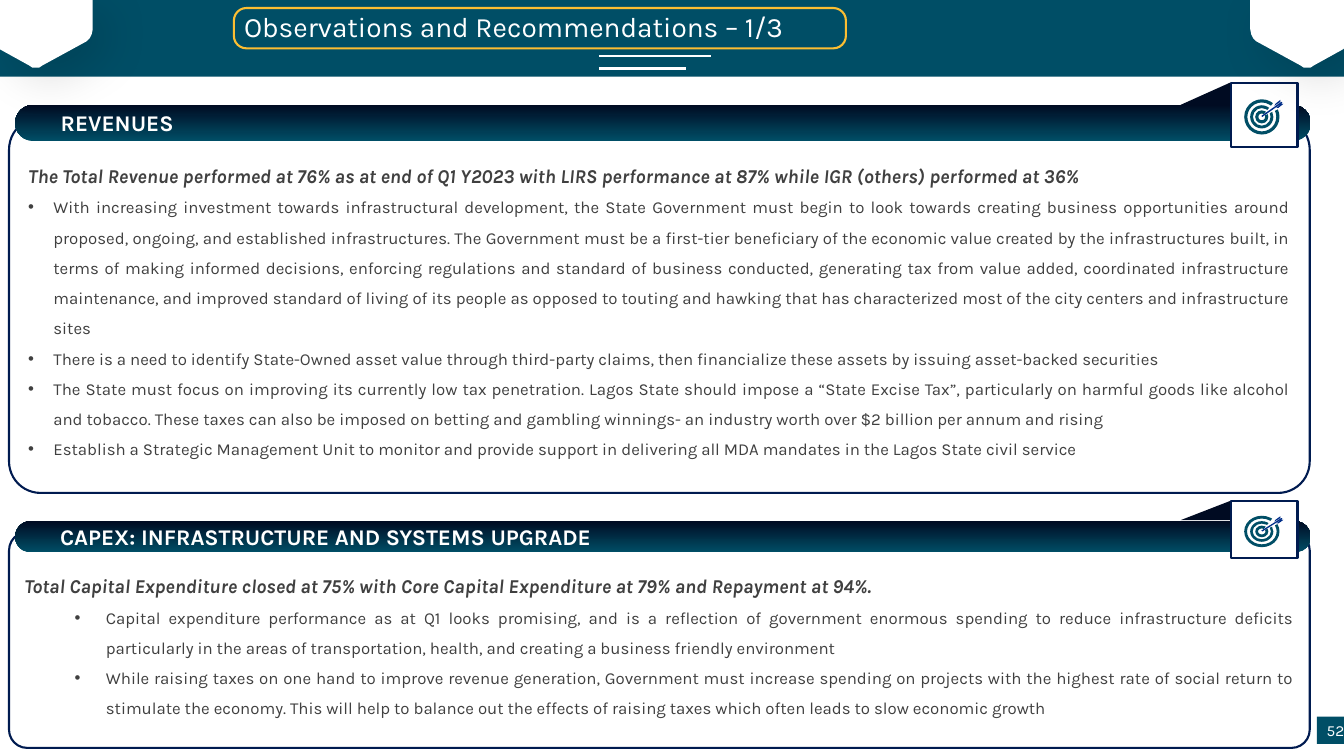
from dataclasses import dataclass
from lxml.etree import SubElement as Sub
from pptx import Presentation
from pptx.dml.color import RGBColor as Rgb
from pptx.enum.shapes import MSO_CONNECTOR as Conn, MSO_SHAPE as Kind
from pptx.enum.text import MSO_ANCHOR as Anchor, MSO_AUTO_SIZE as Fit, PP_ALIGN as Align
from pptx.oxml.ns import qn
from pptx.util import Pt

PX = 9144  # 100 px to the inch


@dataclass
class Theme:
    font: str = "Karla"
    teal: str = "004E66"
    night: str = "000B22"
    navy: str = "001B50"
    dart: str = "002E89"
    gold: str = "FCBE32"
    white: str = "FFFFFF"
    gray: str = "404040"
    title: int = 20
    head: int = 16
    lead: int = 14
    body: int = 12
    page: int = 11


T = Theme()
prs = Presentation()
prs.slide_width, prs.slide_height = 1333 * PX, 750 * PX
slide = prs.slides.add_slide(prs.slide_layouts[5])
shapes = slide.shapes


def paint(shape, fill=None, line=None):
    shape.shadow.inherit = False
    if fill:
        shape.fill.solid()
        shape.fill.fore_color.rgb = Rgb.from_string(fill)
    else:
        shape.fill.background()
    if line:
        shape.line.color.rgb = Rgb.from_string(line)
        shape.line.width = Pt(1.5)
    else:
        shape.line.fill.background()
    return shape


def write(par, text, size, color, bold=False, italic=False, align=Align.LEFT):
    par.alignment = align
    run = par.add_run()
    run.text = text
    font = run.font
    font.name, font.size, font.bold, font.italic = T.font, Pt(size), bold, italic
    font.color.rgb = Rgb.from_string(color)


# Page number
page = paint(shapes.add_shape(Kind.RECTANGLE, 1306 * PX, 711 * PX, 45 * PX, 27 * PX), T.teal)
write(page.text_frame.paragraphs[0], "52", T.page, T.white)

# Panels: each top and height pair is in px
panels = [
    dict(
        name="REVENUES", icon=(82, 64), bar=(104, 36), box=(117, 372), flap=22,
        level=0, left=25, hang=25,
        lead="The Total Revenue performed at 76% as at end of Q1 Y2023 with LIRS performance at 87% while IGR (others) performed at 36%",
        points=[
            "With increasing investment towards infrastructural development, the State Government must begin to look towards creating business opportunities around proposed, ongoing, and established infrastructures. The Government must be a first-tier beneficiary of the economic value created by the infrastructures built, in terms of making informed decisions, enforcing regulations and standard of business conducted, generating tax from value added, coordinated infrastructure maintenance, and improved standard of living of its people as opposed to touting and hawking that has characterized most of the city centers and infrastructure sites",
            "There is a need to identify State-Owned asset value through third-party claims, then financialize these assets by issuing asset-backed securities",
            "The State must focus on improving its currently low tax penetration. Lagos State should impose a “State Excise Tax”, particularly on harmful goods like alcohol and tobacco. These taxes can also be imposed on betting and gambling winnings- an industry worth over $2 billion per annum and rising",
            "Establish a Strategic Management Unit to monitor and provide support in delivering all MDA mandates in the Lagos State civil service",
        ],
    ),
    dict(
        name="CAPEX: INFRASTRUCTURE AND SYSTEMS UPGRADE", icon=(497, 57), bar=(517, 31),
        box=(528, 214), flap=19, level=1, left=81, hang=31,
        lead="Total Capital Expenditure closed at 75% with Core Capital Expenditure at 79% and Repayment at 94%.",
        points=[
            "Capital expenditure performance as at Q1 looks promising, and is a reflection of government enormous spending to reduce infrastructure deficits particularly in the areas of transportation, health, and creating a business friendly environment",
            "While raising taxes on one hand to improve revenue generation, Government must increase spending on projects with the highest rate of social return to stimulate the economy. This will help to balance out the effects of raising taxes which often leads to slow economic growth",
        ],
    ),
]
rings = [(35, 0.09), (23, 0.12), (13, 0.24)]  # width, thickness
dart = [
    [(1251, 33), (1271, 19), (1272, 20), (1252, 34)],
    [(1264, 23), (1265, 21), (1270, 17), (1270, 19)],
    [(1266, 25), (1271, 21), (1273, 21), (1268, 25)],
]

for panel in panels:
    top, high = panel["icon"]
    flap = paint(shapes.add_shape(
        Kind.RIGHT_TRIANGLE, 1171 * PX, top * PX, 49 * PX, panel["flap"] * PX), T.night)
    flap.element.spPr.find(qn("a:xfrm")).set("flipH", "1")

    y, h = panel["box"]
    box = paint(shapes.add_shape(
        Kind.ROUNDED_RECTANGLE, 9 * PX, y * PX, 1290 * PX, h * PX), T.white, T.navy)
    box.adjustments[0] = 0.084
    frame = box.text_frame
    lead = frame.paragraphs[0]
    lead.line_spacing = 1.5
    write(lead, panel["lead"], T.lead, T.gray, True, True, Align.JUSTIFY)
    for point in panel["points"]:
        par = frame.add_paragraph()
        par.level = panel["level"]
        par.line_spacing = 1.5
        props = par._p.get_or_add_pPr()
        props.set("marL", str(panel["left"] * PX))
        props.set("indent", str(-panel["hang"] * PX))
        Sub(props, qn("a:buFont")).set("typeface", "Arial")
        Sub(props, qn("a:buChar")).set("char", "•")
        write(par, point, T.body, T.gray, align=Align.JUSTIFY)

    y, h = panel["bar"]
    bar = paint(shapes.add_shape(
        Kind.ROUNDED_RECTANGLE, 15 * PX, y * PX, 1285 * PX, h * PX))
    bar.adjustments[0] = 0.5
    bar.fill.gradient()
    bar.fill.gradient_angle = 90
    for stop, color, spot in zip(bar.fill.gradient_stops, (T.teal, T.night), (0, 1)):
        stop.color.rgb = Rgb.from_string(color)
        stop.position = spot
    bar.text_frame.margin_left = 40 * PX
    write(bar.text_frame.paragraphs[0], panel["name"], T.head, T.white, True)

    paint(shapes.add_shape(
        Kind.RECTANGLE, 1221 * PX, top * PX, 66 * PX, high * PX), T.white, T.navy)
    ratio = high / 64
    for wide, thick in rings:
        tall = wide * ratio
        ring = paint(shapes.add_shape(
            Kind.BLOCK_ARC, int((1251.5 - wide / 2) * PX),
            int((top + 34 * ratio - tall / 2) * PX), wide * PX, int(tall * PX)), T.teal)
        # Angles of 335 and 309 degrees leave the gap for the dart
        for i, value in enumerate((335 * 0.6, 309 * 0.6, thick)):
            ring.adjustments[i] = value
    pen = None
    for part in dart:
        spots = [(x * PX, (top + y * ratio) * PX) for x, y in part]
        if pen:
            pen.move_to(*spots[0])
        else:
            pen = shapes.build_freeform(*spots[0], scale=1.0)
        pen.add_line_segments(spots[1:], close=True)
    paint(pen.convert_to_shape(), T.dart)

# Header band
paint(shapes.add_shape(Kind.RECTANGLE, 0, 0, 1333 * PX, 76 * PX), T.teal)
ring = paint(shapes.add_shape(
    Kind.ROUNDED_RECTANGLE, 232 * PX, 8 * PX, 607 * PX, 40 * PX), None, T.gold)
ring.adjustments[0] = 0.312
for end, y in ((705, 56), (680, 68)):
    rule = shapes.add_connector(Conn.STRAIGHT, 594 * PX, y * PX, end * PX, y * PX)
    rule.line.color.rgb = Rgb.from_string(T.white)
    rule.line.width = Pt(1.5)
    Sub(rule.element.spPr, qn("a:effectLst"))

corner = [(-1, 0), (92, 0), (92, 29), (91, 34), (89, 38), (86, 41), (42, 65),
          (39, 67), (36, 67), (32, 67), (29, 65), (0, 49), (-1, 48)]
for flip in (False, True):
    spots = [((1332 - x if flip else x) * PX, y * PX) for x, y in corner]
    pen = shapes.build_freeform(*spots[0], scale=1.0)
    pen.add_line_segments(spots[1:], close=True)
    tab = paint(pen.convert_to_shape(), T.white)
    glow = Sub(tab.element.spPr.find(qn("a:effectLst")), qn("a:outerShdw"))
    for key, value in (("blurRad", Pt(33)), ("dist", Pt(14)), ("dir", 45 * 60000)):
        glow.set(key, str(int(value)))
    tint = Sub(glow, qn("a:srgbClr"))
    tint.set("val", "000000")
    Sub(tint, qn("a:alpha")).set("val", "12000")

# Title, brought in front of the band
title = shapes.title
title.left, title.top, title.width, title.height = 232 * PX, 4 * PX, 565 * PX, 44 * PX
title.text_frame.vertical_anchor = Anchor.TOP
title.text_frame.auto_size = Fit.NONE
title.text_frame.word_wrap = True
write(title.text_frame.paragraphs[0], "Observations and Recommendations – 1/3", T.title, T.white)
shapes.element.append(title.element)

prs.save("out.pptx")
